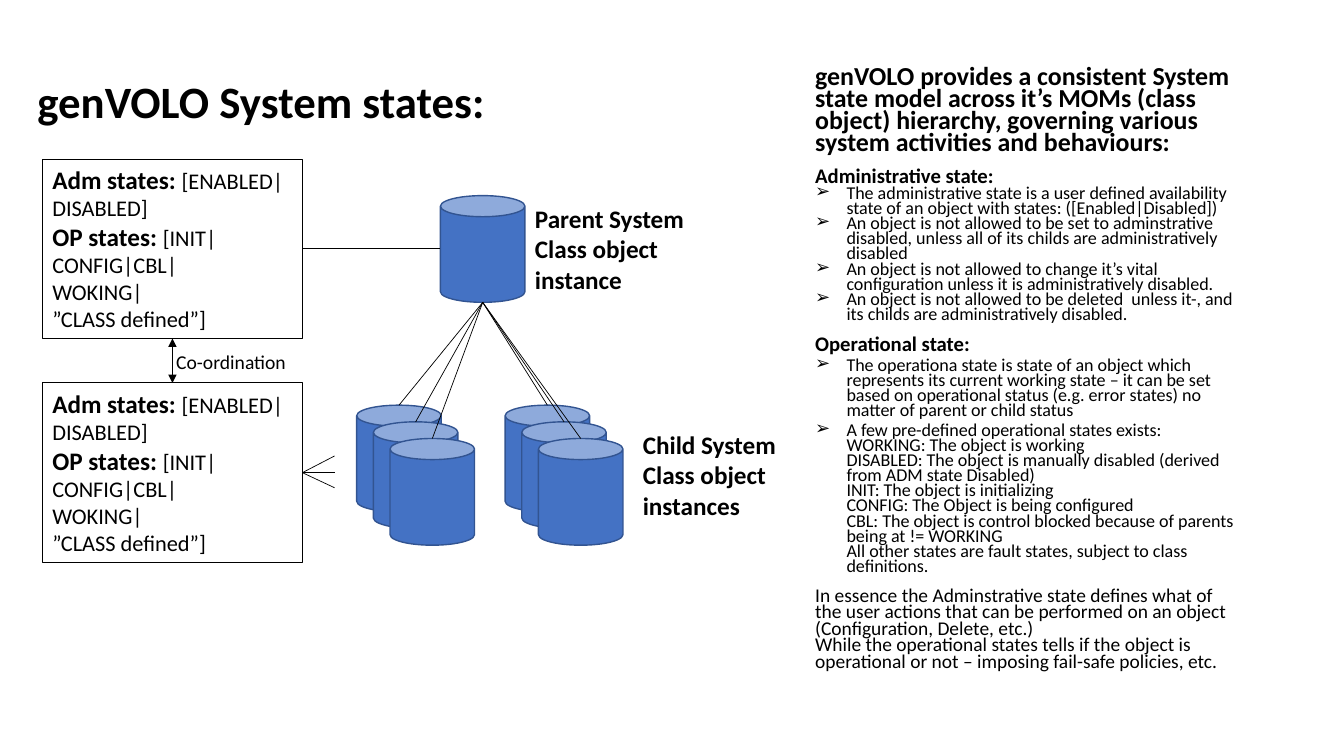
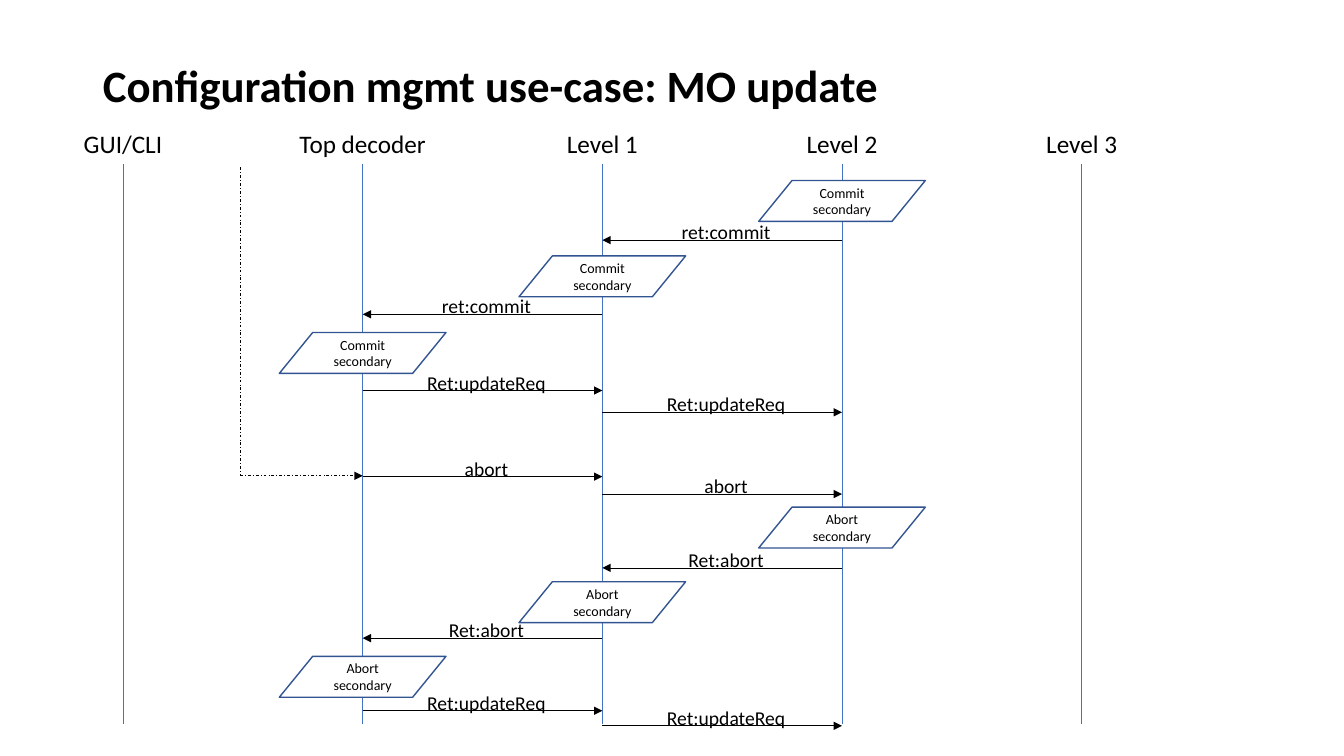
"""Build two slides on system states and a configuration update sequence."""
from pptx import Presentation, util as u
from pptx.dml.color import RGBColor
from pptx.enum import dml, shapes, text
from pptx.oxml import ns, xmlchemy

BLACK = RGBColor(0x00, 0x00, 0x00)
WHITE = RGBColor(0xFF, 0xFF, 0xFF)
BLUE = RGBColor(0x44, 0x72, 0xC4)
DARK_BLUE = RGBColor(0x32, 0x54, 0x91)
FONT = "Calibri"

CAN_WIDTH, CAN_HEIGHT = 2.13, 2.69
STATE_LEFT, STATE_WIDTH, STATE_HEIGHT = 1.07, 6.55, 4.52
LANE_LEFT, LANE_GAP = 3.1, 6.04
STEP_WIDTH, STEP_HEIGHT = 4.2, 1.03

STATE_RUNS = [
    ("Adm states: ", 18, True),
    ("[ENABLED|DISABLED]\n", 16, False),
    ("OP states: ", 18, True),
    ("[INIT|CONFIG|CBL|\nWOKING|\n”CLASS defined”]", 16, False),
]

EXPLANATION = [
    ("genVOLO provides a consistent System state model across it’s MOMs (class object) hierarchy, "
     "governing various system activities and behaviours:", 18.5, True, 10, False),
    ("Administrative state:", 14.8, True, 10, False),
    ("The administrative state is a user defined availability state of an object with states: "
     "([Enabled|Disabled])", 12.9, False, 0, True),
    ("An object is not allowed to be set to adminstrative disabled, unless all of its childs are "
     "administratively disabled", 12.9, False, 0, True),
    ("An object is not allowed to change it’s vital configuration unless it is administratively "
     "disabled.", 12.9, False, 0, True),
    ("An object is not allowed to be deleted  unless it-, and its childs are administratively "
     "disabled.", 12.9, False, 0, True),
    ("Operational state:", 14.8, True, 10, False),
    ("The operationa state is state of an object which represents its current working state – it "
     "can be set based on operational status (e.g. error states) no matter of parent or child "
     "status", 12.9, False, 3, True),
    ("A few pre-defined operational states exists:\nWORKING: The object is working\n"
     "DISABLED: The object is manually disabled (derived from ADM state Disabled)\n"
     "INIT: The object is initializing\nCONFIG: The Object is being configured\n"
     "CBL: The object is control blocked because of parents being at != WORKING\n"
     "All other states are fault states, subject to class definitions.", 12.9, False, 3, True),
    ("In essence the Adminstrative state defines what of the user actions that can be performed "
     "on an object (Configuration, Delete, etc.)\nWhile the operational states tells if the "
     "object is operational or not – imposing fail-safe policies, etc.", 13.9, False, 10, False),
]

LANES = ["GUI/CLI", "Top decoder", "Level 1", "Level 2", "Level 3"]

STEPS = [
    ("Commit secondary", 3, 4.55), ("Commit secondary", 2, 6.45), ("Commit secondary", 1, 8.38),
    ("Abort secondary", 3, 12.78), ("Abort secondary", 2, 14.66), ("Abort secondary", 1, 16.54),
]

MESSAGES = [
    ("ret:commit", 3, 2, 6.05), ("ret:commit", 2, 1, 7.92),
    ("Ret:updateReq", 1, 2, 9.84), ("Ret:updateReq", 2, 3, 10.39),
    ("abort", 1, 2, 12.01), ("abort", 2, 3, 12.45),
    ("Ret:abort", 3, 2, 14.31), ("Ret:abort", 2, 1, 16.08),
    ("Ret:updateReq", 1, 2, 17.91), ("Ret:updateReq", 2, 3, 18.29),
]


def place(shape, left, top, width, height):
    """Move and size a shape in centimetres."""
    shape.left, shape.top = u.Cm(left), u.Cm(top)
    shape.width, shape.height = u.Cm(width), u.Cm(height)


def add_text(paragraph, content, size, bold=False):
    """Add runs to a paragraph, with a line break at each newline."""
    for index, line in enumerate(content.split("\n")):
        if index:
            paragraph.add_line_break()
        if line:
            run = paragraph.add_run()
            run.text = line
            run.font.name, run.font.size, run.font.bold = FONT, u.Pt(size), bold
            run.font.color.rgb = BLACK


def set_title(slide, content, position, anchor):
    """Place and format the title placeholder."""
    title = slide.shapes.title
    place(title, *position)
    frame = title.text_frame
    frame.auto_size = text.MSO_AUTO_SIZE.NONE
    frame.vertical_anchor = anchor
    paragraph = frame.paragraphs[0]
    paragraph.alignment = text.PP_ALIGN.LEFT
    paragraph.line_spacing = 0.9
    add_text(paragraph, content, 32, True)


def set_bullet(paragraph, bulleted):
    """Set the indents and the arrow bullet of a body paragraph."""
    properties = paragraph._p.get_or_add_pPr()
    properties.set("marL", str(u.Cm(1.04 if bulleted else 0.25)))
    properties.set("indent", str(u.Cm(-0.79 if bulleted else 0)))
    if bulleted:
        add_element(properties, "a:buFont", typeface=FONT)
        add_element(properties, "a:buChar", char="➢")
    else:
        add_element(properties, "a:buNone")


def add_element(parent, tag, **attributes):
    """Append a drawing element to its parent."""
    element = xmlchemy.OxmlElement(tag)
    for name, value in attributes.items():
        element.set(name, value)
    parent.append(element)


def set_body(slide, position, items):
    """Fill the body placeholder with headings and bullets."""
    body = slide.placeholders[1]
    place(body, *position)
    frame = body.text_frame
    frame.auto_size = text.MSO_AUTO_SIZE.NONE
    for index, (content, size, bold, space, bulleted) in enumerate(items):
        paragraph = frame.add_paragraph() if index else frame.paragraphs[0]
        paragraph.line_spacing = 0.7
        paragraph.space_before = u.Pt(space)
        set_bullet(paragraph, bulleted)
        add_text(paragraph, content, size, bold)


def add_label(slide, content, position, size, bold=False, alignment=text.PP_ALIGN.CENTER):
    """Add a wrapped text box."""
    box = slide.shapes.add_textbox(*map(u.Cm, position))
    box.text_frame.word_wrap = True
    paragraph = box.text_frame.paragraphs[0]
    paragraph.alignment = alignment
    add_text(paragraph, content, size, bold)


def add_block(slide, kind, position, fill, line_color, line_width):
    """Add an outlined preset shape, unfilled when fill is None."""
    shape = slide.shapes.add_shape(kind, *map(u.Cm, position))
    shape.shadow.inherit = False
    if fill is None:
        shape.fill.background()
    else:
        shape.fill.solid()
        shape.fill.fore_color.rgb = fill
    shape.line.color.rgb = line_color
    shape.line.width = u.Pt(line_width)
    return shape


def add_line(slide, start, end, color=BLACK, dash=None, head=False, tail=False):
    """Add a thin straight line with optional dashes and arrowheads."""
    line = slide.shapes.add_connector(shapes.MSO_CONNECTOR.STRAIGHT, *map(u.Cm, start + end))
    line.line.color.rgb = color
    line.line.width = u.Pt(0.5)
    if dash is not None:
        line.line.dash_style = dash
    properties = line._element.spPr
    outline = properties.find(ns.qn("a:ln"))
    for tag, wanted in (("a:headEnd", head), ("a:tailEnd", tail)):
        if wanted:
            add_element(outline, tag, type="triangle")
    add_element(properties, "a:effectLst")


def add_can(slide, left, top):
    """Add an object instance and return its top centre."""
    add_block(slide, shapes.MSO_SHAPE.CAN, (left, top, CAN_WIDTH, CAN_HEIGHT), BLUE, DARK_BLUE, 1)
    return left + CAN_WIDTH / 2, top


def add_state_box(slide, top):
    """Add a box that lists the states of an object."""
    position = (STATE_LEFT, top, STATE_WIDTH, STATE_HEIGHT)
    box = add_block(slide, shapes.MSO_SHAPE.RECTANGLE, position, None, BLACK, 0.75)
    box.text_frame.vertical_anchor = text.MSO_ANCHOR.TOP
    paragraph = box.text_frame.paragraphs[0]
    paragraph.alignment = text.PP_ALIGN.LEFT
    for content, size, bold in STATE_RUNS:
        add_text(paragraph, content, size, bold)


def lane_x(lane):
    """Return the horizontal place of a lifeline."""
    return LANE_LEFT + lane * LANE_GAP


def add_lane(slide, lane, name):
    """Add a named lifeline."""
    x = lane_x(lane)
    add_label(slide, name, (x - 2, 3.12, 4, 1.02), 18)
    add_line(slide, (x, 4.14), (x, 18.24), BLUE)


def add_step(slide, content, lane, top):
    """Add a processing step on a lifeline."""
    position = (lane_x(lane) - STEP_WIDTH / 2, top, STEP_WIDTH, STEP_HEIGHT)
    kind = shapes.MSO_SHAPE.FLOWCHART_DATA
    step = add_block(slide, kind, position, WHITE, DARK_BLUE, 1)
    step.text_frame.vertical_anchor = text.MSO_ANCHOR.MIDDLE
    paragraph = step.text_frame.paragraphs[0]
    paragraph.alignment = text.PP_ALIGN.CENTER
    add_text(paragraph, content, 10)


def add_message(slide, content, sender, receiver, y):
    """Add a labelled arrow between two lifelines."""
    start, end = lane_x(sender), lane_x(receiver)
    add_line(slide, (start, y), (end, y), tail=True)
    add_label(slide, content, ((start + end) / 2 - 3.34, y - 0.63, 6.88, 0.86), 14)


def build_states(presentation):
    """Build the slide on system states."""
    slide = presentation.slides.add_slide(presentation.slide_layouts[1])
    set_title(slide, "genVOLO System states:", (0.69, 1.27, 30.86, 2.69), text.MSO_ANCHOR.MIDDLE)
    set_body(slide, (20.04, 1.6, 11.51, 15.75), EXPLANATION)

    parent_left, parent_top = 11.1, 4.93
    parent_x, _ = add_can(slide, parent_left, parent_top)
    children = [add_can(slide, left + 0.42 * index, 10.21 + 0.42 * index)
                for left in (8.99, 12.73) for index in range(3)]
    for child in children:
        add_line(slide, (parent_x, parent_top + CAN_HEIGHT), child)
    left_aligned = text.PP_ALIGN.LEFT
    add_label(slide, "Parent System Class object instance", (13.23, 5, 4.83, 2.57), 18, True, left_aligned)
    add_label(slide, "Child System Class object instances", (15.95, 10.7, 4.83, 2.57), 18, True, left_aligned)

    parent_box, child_box = 4.01, 9.65
    for top in (parent_box, child_box):
        add_state_box(slide, top)
    right = STATE_LEFT + STATE_WIDTH
    parent_y, child_y = (top + STATE_HEIGHT / 2 for top in (parent_box, child_box))
    add_line(slide, (right, parent_y), (parent_left, parent_y))
    for offset in (-0.42, 0, 0.38):
        add_line(slide, (right, child_y), (right + 0.81, child_y + offset))
    middle = STATE_LEFT + STATE_WIDTH / 2
    add_line(slide, (middle, child_box), (middle, parent_box + STATE_HEIGHT), head=True, tail=True)
    add_label(slide, "Co-ordination", (4.19, 8.69, 3.6, 0.86), 14, False, left_aligned)


def build_sequence(presentation):
    """Build the slide on the update sequence."""
    slide = presentation.slides.add_slide(presentation.slide_layouts[5])
    set_title(slide, "Configuration mgmt use-case: MO update", (2.34, 1.27, 30.12, 1.68),
              text.MSO_ANCHOR.BOTTOM)
    for lane, name in enumerate(LANES):
        add_lane(slide, lane, name)
    for step in STEPS:
        add_step(slide, *step)
    for message in MESSAGES:
        add_message(slide, *message)
    corner = (6.05, 11.99)
    dash = dml.MSO_LINE.DASH_DOT
    add_line(slide, (corner[0], 4.22), corner, dash=dash)
    add_line(slide, corner, (lane_x(1), corner[1]), dash=dash, tail=True)


def main():
    """Create and save the presentation."""
    presentation = Presentation()
    presentation.slide_width, presentation.slide_height = u.Cm(33.87), u.Cm(19.05)
    build_states(presentation)
    build_sequence(presentation)
    presentation.save("out.pptx")


if __name__ == "__main__":
    main()
